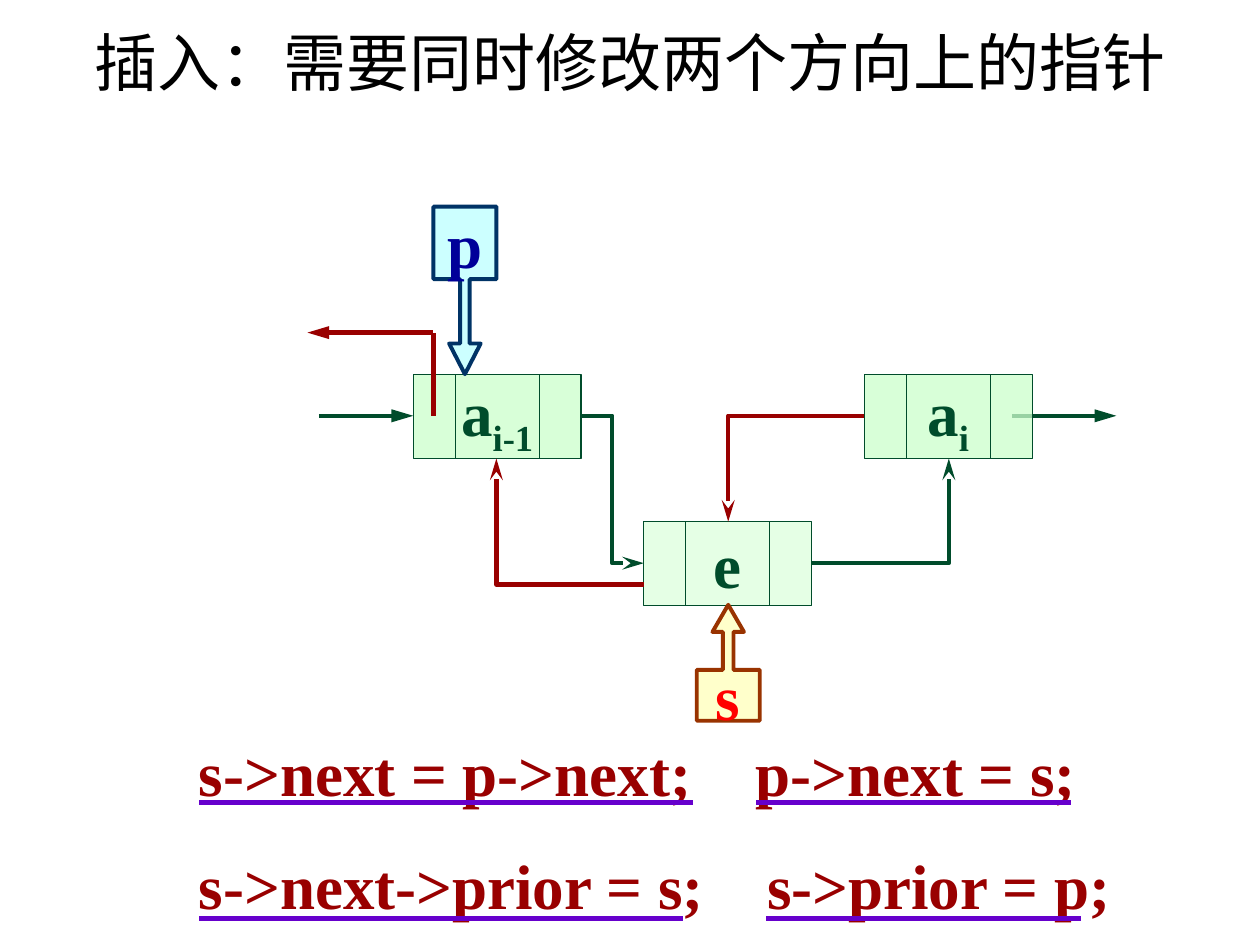
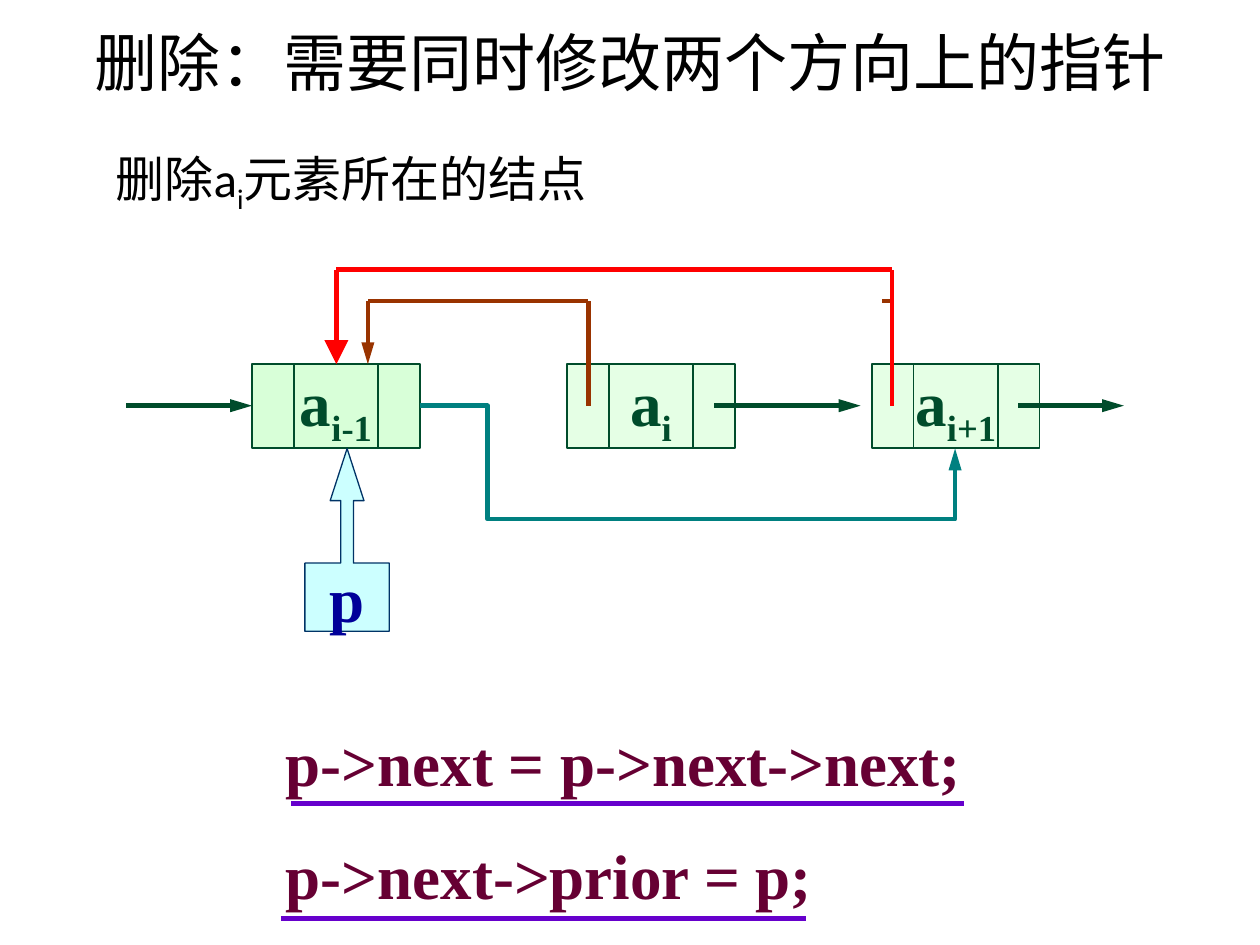
from lxml.etree import SubElement
from pptx import Presentation
from pptx.dml.color import RGBColor
from pptx.enum.shapes import MSO_CONNECTOR, MSO_SHAPE
from pptx.enum.text import MSO_ANCHOR, PP_ALIGN
from pptx.oxml.ns import qn
from pptx.util import Inches, Pt

COLORS = {
    "black": "000000", "green": "004C2B", "mint": "CCFFCC", "dark red": "990000",
    "red": "FF0000", "wine": "660033", "violet": "6600CC", "brown": "993300",
    "teal": "008080", "cyan": "CCFFFF", "navy": "003366", "blue": "000099",
    "yellow": "FFFF99",
}
CODE_FORMAT = {"name": "Times New Roman", "size": Pt(36), "bold": True}
TITLE_FORMAT = {"name": "Calibri", "size": Pt(36), "bold": False}
NOTE_FORMAT = {"name": "Calibri", "size": Pt(28), "bold": False}

presentation = Presentation()
presentation.slide_width = Inches(10)
presentation.slide_height = Inches(7.5)
COLUMN = presentation.slide_width / 100
ROW = presentation.slide_height / 75
NODE_WIDTH, NODE_HEIGHT, CELL = 13.33, 6.67, 3.33


def write(paragraph, runs, color, formats):
    for text, baseline in runs:
        run = paragraph.add_run()
        run.text = text
        for name, value in formats.items():
            setattr(run.font, name, value)
        run.font.color.rgb = RGBColor.from_string(COLORS[color])
        if baseline:
            run._r.get_or_add_rPr().set("baseline", str(baseline * 1000))


def connect(slide, start, end, color, width=2.5, head=None, bend=None, adjustments=()):
    kind = MSO_CONNECTOR.ELBOW if bend else MSO_CONNECTOR.STRAIGHT
    points = [round(length * unit) for point in (start, end)
              for length, unit in zip(point, (COLUMN, ROW))]
    connector = slide.shapes.add_connector(kind, *points)
    connector.line.color.rgb = RGBColor.from_string(COLORS[color])
    connector.line.width = Pt(width)
    properties = connector._element.spPr
    if bend:
        geometry = properties.find(qn("a:prstGeom"))
        geometry.set("prst", bend)
        guides = geometry.find(qn("a:avLst"))
        for number, share in enumerate(adjustments, 1):
            SubElement(guides, qn("a:gd"), name=f"adj{number}",
                       fmla=f"val {round(share * 100000)}")
    if head:
        shape_type, head_width = head
        SubElement(connector.line._get_or_add_ln(), qn("a:tailEnd"),
                   type=shape_type, w=head_width, len="lg")
    SubElement(properties, qn("a:effectLst"))


TRIANGLE, WIDE, STEALTH = ("triangle", "med"), ("triangle", "lg"), ("stealth", "med")

pages = [
    {
        "title": "插入：需要同时修改两个方向上的指针",
        "code": (14.8, 54.7, "dark red", [
            ("s->next = p->next;\tp->next = s;", 44.2),
            ("s->next->prior = s;\ts->prior = p;", 45.1),
        ]),
        "underlines": [(15.8, 55, 63.7), (60, 85, 63.7), (15.8, 54.2, 72.9), (60.8, 85.8, 72.9)],
        "links below": [((80.3, 33), (88.6, 33), "green", 2.5, TRIANGLE)],
        "nodes": [(32.8, 29.7, "i-1", 75), (68.6, 29.7, "i", 75), (51.1, 41.4, None, 50)],
        "callouts": [
            (MSO_SHAPE.DOWN_ARROW_CALLOUT, (34.4, 16.4, 5, 13.3), (0.15, 0.25, 0.486, 0.433),
             "p", "cyan", 100, "navy", 2.25, "blue"),
            (MSO_SHAPE.UP_ARROW_CALLOUT, (55.3, 48, 5, 9.2), (0.167, 0.25, 0.431, 0.439),
             "s", "yellow", 50, "brown", 2.25, "red"),
        ],
        "links": [
            ((25.3, 33), (32.8, 33), "green", 2.5, TRIANGLE),
            ((34.4, 33), (34.4, 26.4), "dark red"),
            ((34.4, 26.4), (24.4, 26.4), "dark red", 2.5, TRIANGLE),
            ((64.4, 44.7), (75.3, 36.4), "green", 2.5, STEALTH, "bentConnector2"),
            ((46.1, 33), (51.1, 44.7), "green", 2.5, STEALTH, "bentConnector3", (0.5,)),
            ((68.6, 33), (57.8, 41.4), "dark red", 2.5, STEALTH, "bentConnector2"),
            ((51.1, 46.4), (39.4, 36.4), "dark red", 2.5, STEALTH, "bentConnector2"),
        ],
    },
    {
        "title": "删除：需要同时修改两个方向上的指针",
        "note": [("删除a", 0), ("i", -25), ("元素所在的结点", 0)],
        "code": (21.7, 53.9, "wine", [
            ("p->next = p->next->next;", None), ("p->next->prior = p;", None),
        ]),
        "underlines": [(23.1, 76.5, 63.8), (22.3, 64, 72.9)],
        "links below": [],
        "nodes": [(20, 28.9, "i-1", 75), (45, 28.9, "i", 50), (69.2, 28.9, "i+1", 50)],
        "callouts": [
            (MSO_SHAPE.UP_ARROW_CALLOUT, (24.2, 35.6, 6.7, 14.5), (0.15, 0.2, 0.617, 0.373),
             "p", "cyan", 100, "navy", 0.75, "blue"),
        ],
        "links": [
            ((10, 32.2), (20, 32.2), "green", 2.5, TRIANGLE),
            ((56.7, 32.2), (68.3, 32.2), "green", 2.5, TRIANGLE),
            ((80.8, 32.2), (89.2, 32.2), "green", 2.5, TRIANGLE),
            ((70.8, 23.9), (70, 23.9), "brown"),
            ((46.7, 32.2), (46.7, 23.9), "brown"),
            ((46.7, 23.9), (29.2, 23.9), "brown"),
            ((29.2, 23.9), (29.2, 28.9), "brown", 2.5, TRIANGLE),
            ((33.3, 32.2), (75.8, 35.6), "teal", 2.5, TRIANGLE, "bentConnector4", (0.127, 2.65)),
            ((70.8, 32.2), (70.8, 21.4), "red", 2.75),
            ((70.8, 21.4), (26.7, 21.4), "red", 2.75),
            ((26.7, 21.4), (26.7, 28.9), "red", 2.75, WIDE),
        ],
    },
]

for page in pages:
    slide = presentation.slides.add_slide(presentation.slide_layouts[5])
    title = slide.shapes.title
    title.left, title.top = round(5 * COLUMN), round(0.6 * ROW)
    title.width, title.height = round(90 * COLUMN), round(8.6 * ROW)
    title.text_frame.vertical_anchor = MSO_ANCHOR.MIDDLE
    title.text_frame.paragraphs[0].alignment = PP_ALIGN.CENTER
    write(title.text_frame.paragraphs[0], [(page["title"], 0)], "black", TITLE_FORMAT)

    if "note" in page:
        note = slide.shapes.add_textbox(round(8.2 * COLUMN), round(11.3 * ROW),
                                        round(40.1 * COLUMN), round(5.7 * ROW))
        note.text_frame.word_wrap = True
        write(note.text_frame.paragraphs[0], page["note"], "black", NOTE_FORMAT)

    left, top, color, lines = page["code"]
    code = slide.shapes.add_textbox(round(left * COLUMN), round(top * ROW),
                                    round(78 * COLUMN), round(19 * ROW))
    code.text_frame.word_wrap = True
    for index, (line, tab) in enumerate(lines):
        paragraph = code.text_frame.add_paragraph() if index else code.text_frame.paragraphs[0]
        if tab:
            tabs = SubElement(paragraph._p.get_or_add_pPr(), qn("a:tabLst"))
            SubElement(tabs, qn("a:tab"), pos=str(round(tab * COLUMN)), algn="l")
        paragraph.line_spacing = 1.5
        write(paragraph, [(line, 0)], color, CODE_FORMAT)

    for start, end, height in page["underlines"]:
        connect(slide, (start, height), (end, height), "violet", 3)
    for link in page["links below"]:
        connect(slide, *link)

    boxes = [
        (MSO_SHAPE.RECTANGLE, (left, top, NODE_WIDTH, NODE_HEIGHT), (),
         [("a", 0), (subscript, -25)] if subscript else [("e", 0)],
         "mint", opacity, "green", 0.75, "green")
        for left, top, subscript, opacity in page["nodes"]
    ] + page["callouts"]
    for kind, place, adjustments, label, fill, opacity, outline, width, color in boxes:
        shape = slide.shapes.add_shape(kind, *[
            round(length * unit) for length, unit in zip(place, (COLUMN, ROW) * 2)])
        shape.shadow.inherit = False
        for index, share in enumerate(adjustments):
            shape.adjustments[index] = share
        shape.fill.solid()
        shape.fill.fore_color.rgb = RGBColor.from_string(COLORS[fill])
        if opacity < 100:
            shade = shape._element.spPr.find(qn("a:solidFill"))[0]
            SubElement(shade, qn("a:alpha"), val=str(opacity * 1000))
        shape.line.color.rgb = RGBColor.from_string(COLORS[outline])
        shape.line.width = Pt(width)
        frame = shape.text_frame
        frame.word_wrap = False
        frame.vertical_anchor = MSO_ANCHOR.MIDDLE
        frame.paragraphs[0].alignment = PP_ALIGN.CENTER
        runs = [(label, 0)] if isinstance(label, str) else label
        write(frame.paragraphs[0], runs, color, CODE_FORMAT)

    for left, top, subscript, opacity in page["nodes"]:
        for divider in (left + CELL, left + NODE_WIDTH - CELL):
            connect(slide, (divider, top), (divider, top + NODE_HEIGHT), "green", 0.75)
    for link in page["links"]:
        connect(slide, *link)

presentation.save("out.pptx")
